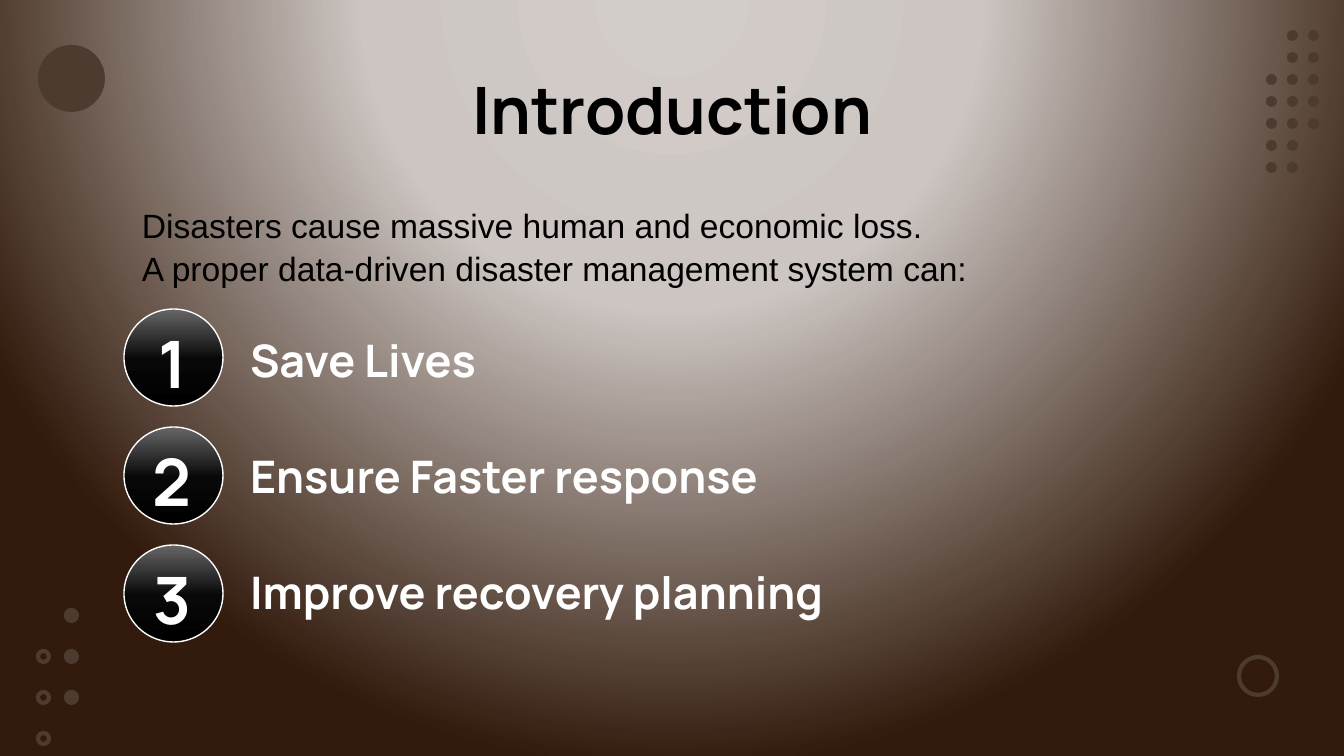
from lxml import etree
from pptx import Presentation
from pptx.dml.color import RGBColor
from pptx.enum.shapes import MSO_SHAPE
from pptx.enum.text import MSO_ANCHOR, PP_ALIGN
from pptx.oxml.ns import qn
from pptx.util import Emu, Pt

OVAL = MSO_SHAPE.OVAL
MIDDLE = MSO_ANCHOR.MIDDLE
LEFT, CENTER = PP_ALIGN.LEFT, PP_ALIGN.CENTER

BROWN, WHITE, BLACK = "4E3B30", "FFFFFF", "000000"
BACKDROP = [(0, "D3CDCA"), (40, "CCC5C1"), (100, "321A0C")]
GLOSS = [(0, BLACK), (48, "080808"), (100, "666666")]

TITLE = "Introduction"
INTRO = [
    "Disasters cause massive human and economic loss.",
    "A proper data-driven disaster management system can:",
]
GOALS = [  # label, box width
    ("Save Lives", 308),
    ("Ensure Faster response", 606),
    ("Improve recovery planning", 702),
]
DOT = 11
TOP_DOTS = [range(2, 7), range(0, 7), range(0, 5)]  # rows filled in each column
SIDE_DOTS = [(range(1, 4), None), (range(0, 3), BROWN)]  # rows, fill


def px(n):
    return Emu(round(n * 914400 / 134.4))


def rgb(color):
    return RGBColor.from_string(color)


def set_gradient(fill, element, stops, direction, **attrs):
    """Fill with colour stops; direction is an a:lin or a:path element name."""
    fill.gradient()
    grad = element.find(".//" + qn("a:gradFill"))
    for child in list(grad):
        grad.remove(child)
    gs_list = etree.SubElement(grad, qn("a:gsLst"))
    for pos, color in stops:
        gs = etree.SubElement(gs_list, qn("a:gs"), pos=str(pos * 1000))
        etree.SubElement(gs, qn("a:srgbClr"), val=color)
    return etree.SubElement(grad, qn(direction), **attrs)


def add_oval(s, x, y, w, h, fill=None, line=None, width=2.25):
    sp = s.shapes.add_shape(OVAL, px(x), px(y), px(w), px(h))
    sp.shadow.inherit = False
    if fill:
        sp.fill.solid()
        sp.fill.fore_color.rgb = rgb(fill)
    else:
        sp.fill.background()
    if line:
        sp.line.color.rgb = rgb(line)
        sp.line.width = Pt(width)
    else:
        sp.line.fill.background()
    return sp


def add_text(s, lines, x, y, w, h, size, color=WHITE, font="Manrope",
             bold=True, align=LEFT, inset=13, spacing=None):
    tf = s.shapes.add_textbox(px(x), px(y), px(w), px(h)).text_frame
    tf.word_wrap = True
    tf.vertical_anchor = MIDDLE
    tf.margin_left = tf.margin_right = px(13)
    tf.margin_top = tf.margin_bottom = px(inset)
    for i, text in enumerate(lines):
        p = tf.paragraphs[0] if i == 0 else tf.add_paragraph()
        p.alignment = align
        if spacing:
            p.line_spacing = spacing
        r = p.add_run()
        r.text = text
        r.font.name, r.font.size, r.font.bold = font, Pt(size), bold
        r.font.color.rgb = rgb(color)


def add_decoration(s):
    for col, rows in enumerate(TOP_DOTS):
        for row in rows:
            add_oval(s, 1266 + 21 * col, 30 + 22 * row, DOT, DOT, BROWN)
    add_oval(s, 38, 45, 67, 67, BROWN)
    add_oval(s, 1239, 657, 38, 38, line=BROWN)
    for col, (rows, fill) in enumerate(SIDE_DOTS):
        for row in rows:
            add_oval(s, 38 + 28 * col, 610 + 41 * row, DOT, DOT, fill, BROWN)


def add_goals(s):
    for i, (label, width) in enumerate(GOALS):
        top = 309 + 118 * i
        badge = add_oval(s, 124, top, 99, 97, line=WHITE, width=0.75)
        set_gradient(badge.fill, badge._element, GLOSS, "a:lin",
                     ang=str(270 * 60000), scaled="0")
        add_text(s, [str(i + 1)], 138, top + 20, 69, 66, 35, align=CENTER)
        add_text(s, [label], 237, 309 + 116 * i, width, 101, 24)


def main():
    prs = Presentation()
    prs.slide_width, prs.slide_height = px(1344), px(756)
    s = prs.slides.add_slide(prs.slide_layouts[6])
    glow = set_gradient(s.background.fill, s._element, BACKDROP, "a:path", path="circle")
    etree.SubElement(glow, qn("a:fillToRect"), l="50000", t="-80000", r="50000", b="180000")
    add_decoration(s)
    add_text(s, [TITLE], 106, 66, 1133, 85, 35, BLACK, align=CENTER)
    add_text(s, INTRO, 129, 198, 937, 95, 18, BLACK, "Arial", bold=False,
             inset=7, spacing=1.07)
    add_goals(s)
    prs.save("out.pptx")


if __name__ == "__main__":
    main()
